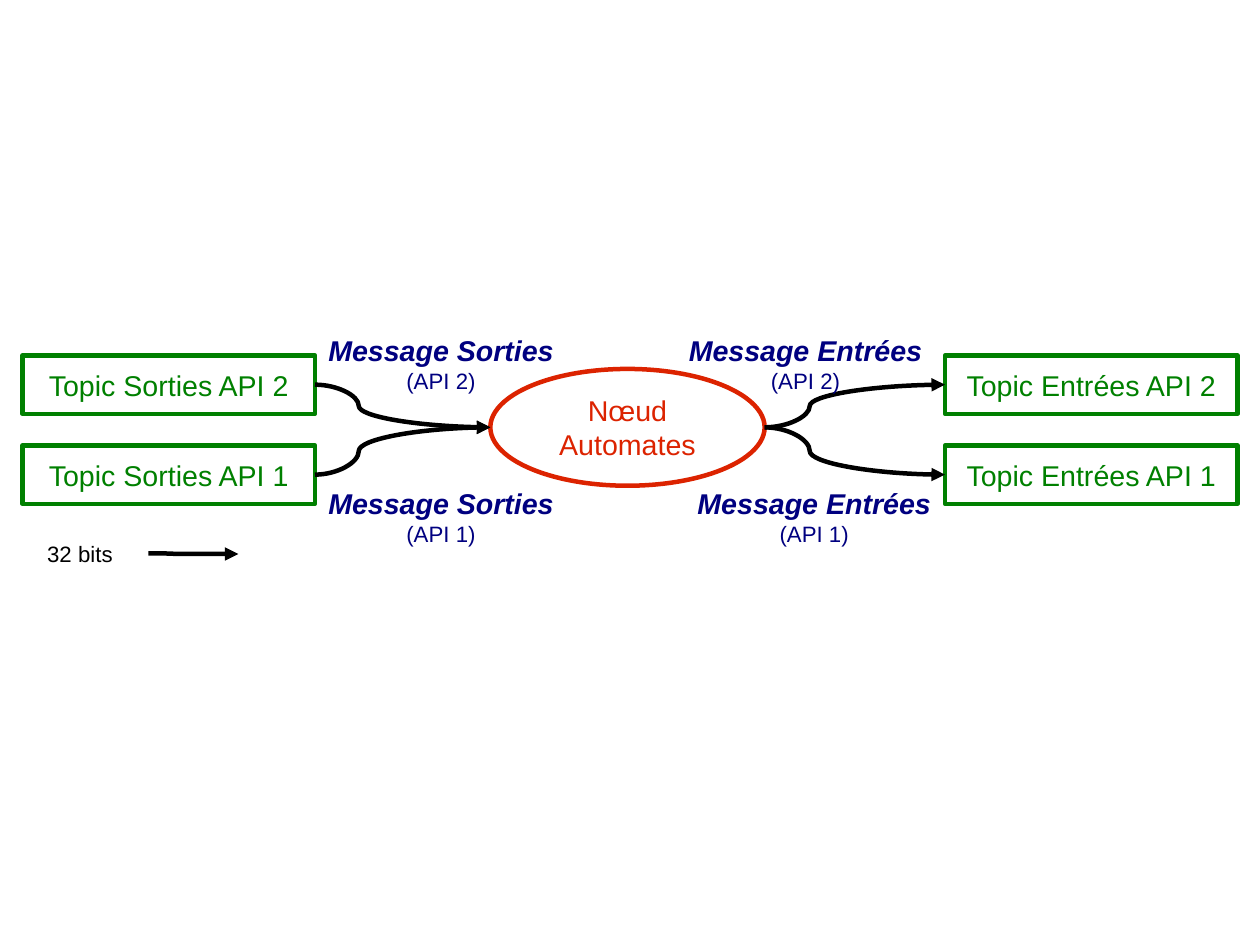
from dataclasses import dataclass

from lxml import etree
from pptx import Presentation
from pptx import util as u
from pptx.dml.color import RGBColor
from pptx.enum import shapes, text
from pptx.oxml import ns


@dataclass(frozen=True)
class Theme:
    font: str = "Arial"
    large: float = 18
    small: float = 14
    stroke: float = 2.83
    topic: str = "008000"
    node: str = "DC2300"
    message: str = "000080"
    ink: str = "000000"


THEME = Theme()


@dataclass(frozen=True)
class Span:
    words: str
    size: float
    color: str
    strong: bool = False


@dataclass(frozen=True)
class Node:
    kind: shapes.MSO_SHAPE
    label: str
    color: str
    left: float
    top: float
    width: float
    height: float

    @property
    def middle(self) -> float:
        return self.top + self.height / 2

    @property
    def right(self) -> float:
        return self.left + self.width


@dataclass(frozen=True)
class Caption:
    spans: tuple[Span, ...]
    left: float
    top: float
    width: float
    height: float
    align: text.PP_ALIGN = text.PP_ALIGN.CENTER


@dataclass(frozen=True)
class Arrow:
    start_x: float
    start_y: float
    end_x: float
    end_y: float


def write(frame, spans: tuple[Span, ...], align: text.PP_ALIGN) -> None:
    """Write one paragraph for each span."""
    frame.word_wrap = True
    for index, span in enumerate(spans):
        para = frame.add_paragraph() if index else frame.paragraphs[0]
        para.alignment = align
        run = para.add_run()
        run.text = span.words
        run.font.name = THEME.font
        run.font.size = u.Pt(span.size)
        run.font.bold = run.font.italic = span.strong
        run.font.color.rgb = RGBColor.from_string(span.color)


def draw_node(page, node: Node) -> None:
    box = page.shapes.add_shape(node.kind, u.Pt(node.left), u.Pt(node.top),
                                u.Pt(node.width), u.Pt(node.height))
    box.shadow.inherit = False
    box.fill.background()
    box.line.color.rgb = RGBColor.from_string(node.color)
    box.line.width = u.Pt(THEME.stroke)
    frame = box.text_frame
    frame.vertical_anchor = text.MSO_ANCHOR.MIDDLE
    frame.margin_left = frame.margin_right = u.Pt(8.5)
    frame.margin_top = frame.margin_bottom = u.Pt(5)
    write(frame, (Span(node.label, THEME.large, node.color),), text.PP_ALIGN.CENTER)


def draw_caption(page, caption: Caption) -> None:
    box = page.shapes.add_textbox(u.Pt(caption.left), u.Pt(caption.top),
                                  u.Pt(caption.width), u.Pt(caption.height))
    box.text_frame.auto_size = text.MSO_AUTO_SIZE.SHAPE_TO_FIT_TEXT
    write(box.text_frame, caption.spans, caption.align)


def draw_arrow(page, arrow: Arrow) -> None:
    curve = page.shapes.add_connector(
        shapes.MSO_CONNECTOR.CURVE, u.Pt(arrow.start_x), u.Pt(arrow.start_y),
        u.Pt(arrow.end_x), u.Pt(arrow.end_y))
    curve.line.color.rgb = RGBColor.from_string(THEME.ink)
    curve.line.width = u.Pt(THEME.stroke)
    # Arrowhead, no shadow, and the bend a quarter of the way along
    properties = curve._element.spPr
    etree.SubElement(curve.line._get_or_add_ln(), ns.qn("a:tailEnd"), type="triangle")
    etree.SubElement(properties, ns.qn("a:effectLst"))
    guides = properties.find(ns.qn("a:prstGeom")).get_or_add_avLst()
    etree.SubElement(guides, ns.qn("a:gd"), name="adj1", fmla="val 25000")


def topic(label: str, left: float, top: float) -> Node:
    return Node(shapes.MSO_SHAPE.RECTANGLE, label, THEME.topic, left, top, 184.25, 36.8)


def message(flow: str, api: int, left: float, top: float, width: float) -> Caption:
    spans = (Span(f"Message {flow}", THEME.large, THEME.message, strong=True),
             Span(f"(API {api})", THEME.small, THEME.message))
    return Caption(spans, left, top, width, 64)


def main() -> None:
    deck = Presentation()
    deck.slide_width, deck.slide_height = u.Pt(793.7), u.Pt(595.28)
    page = deck.slides.add_slide(deck.slide_layouts[6])

    # Central node, with output topics on its left and input topics on its right
    hub = Node(shapes.MSO_SHAPE.OVAL, "Nœud Automates", THEME.node, 308.9, 232.4, 172.8, 73.6)
    rows = {2: 223.9, 1: 280.6}
    outputs = [topic(f"Topic Sorties API {api}", 14.2, top) for api, top in rows.items()]
    inputs = [topic(f"Topic Entrées API {api}", 595.3, top) for api, top in rows.items()]
    for node in [hub, *outputs, *inputs]:
        draw_node(page, node)

    # Arrows into and out of the node, then the legend arrow
    arrows = [Arrow(node.right, node.middle, hub.left, hub.middle) for node in outputs]
    arrows += [Arrow(hub.right, hub.middle, node.left, node.middle) for node in inputs]
    arrows.append(Arrow(93.5, 348.6, 150.2, 349))
    for arrow in arrows:
        draw_arrow(page, arrow)

    # Message names and the legend
    upper, lower = 206, 302.4
    captions = [
        message("Sorties", 2, 192.8, upper, 170),
        message("Entrées", 2, 419.6, upper, 175.6),
        message("Sorties", 1, 192.8, lower, 170),
        message("Entrées", 1, 430.8, lower, 164.2),
        Caption((Span("32 bits", THEME.small, THEME.ink),), 22.6, 337, 70.6, 24,
                text.PP_ALIGN.LEFT),
    ]
    for caption in captions:
        draw_caption(page, caption)

    deck.save("out.pptx")


if __name__ == "__main__":
    main()
